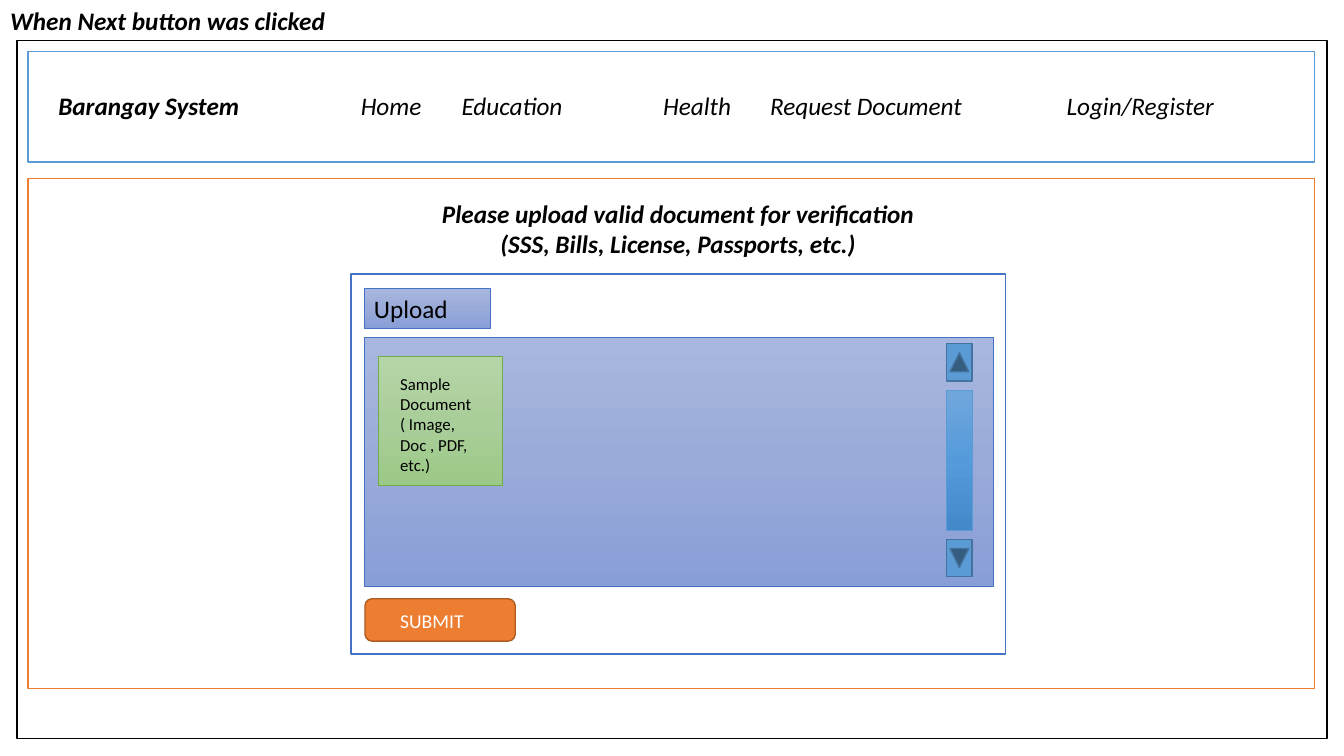
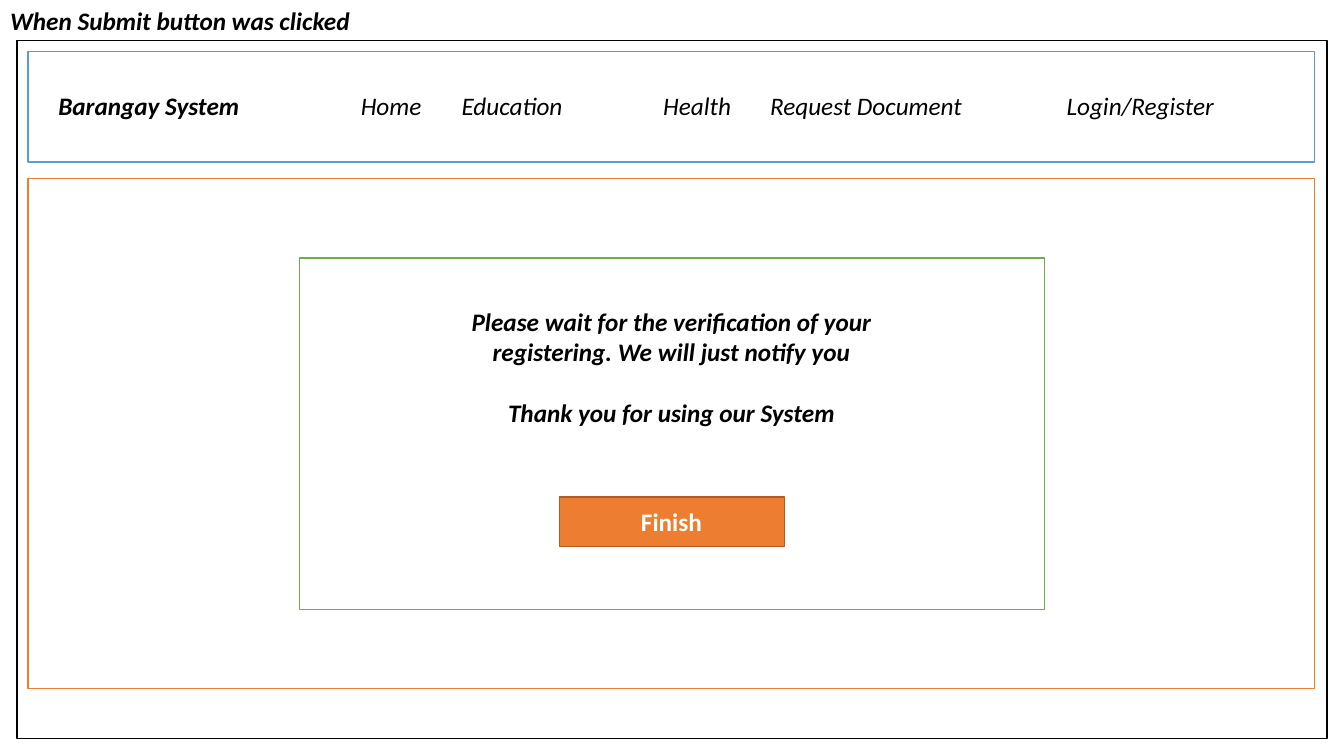
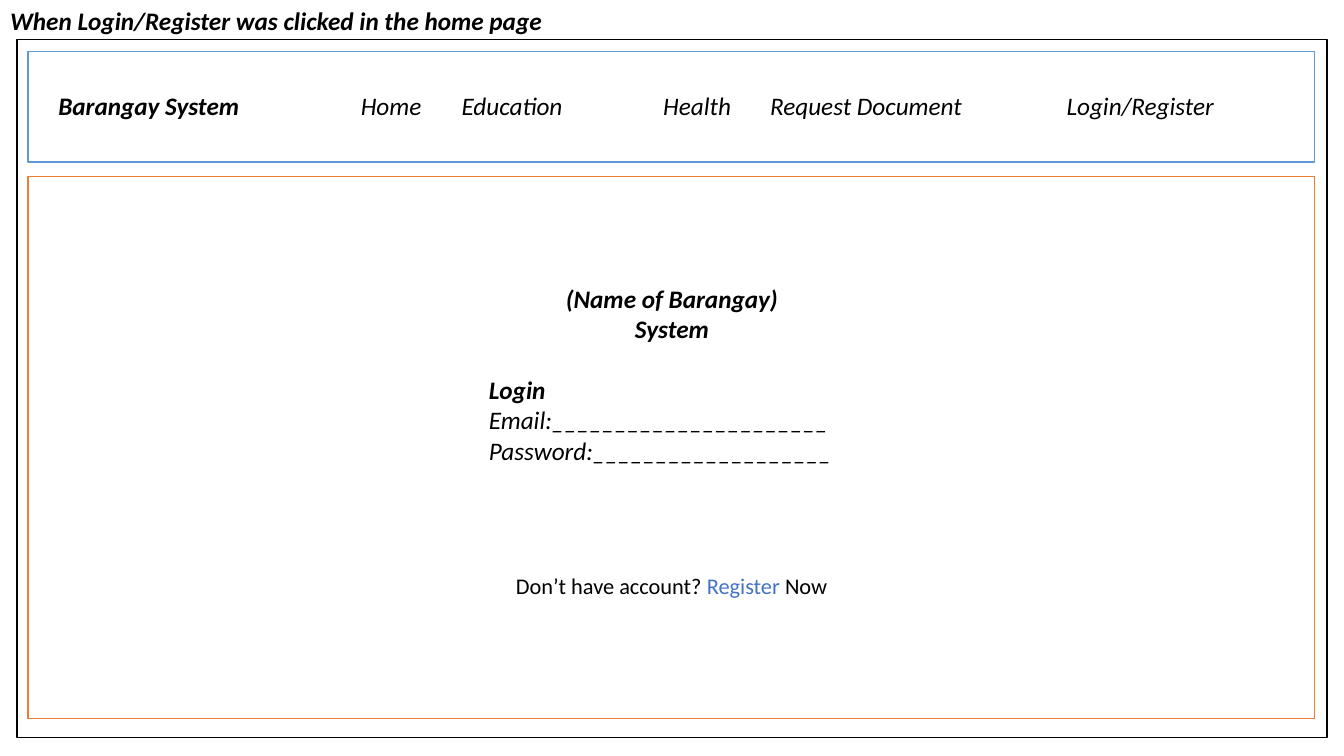
import copy

import pptx
import pptx.dml.color
import pptx.enum.shapes
import pptx.enum.text
import pptx.oxml
import pptx.oxml.ns
import pptx.util

PX = 9144  # 100 px to the inch
TITLE_ONLY = 5
FONT = "Calibri"
COLORS = {
    "black": "000000", "white": "FFFFFF",
    "sky": "5B9BD5", "sky edge": "43739E",
    "blue": "4472C4", "green": "70AD47",
    "orange": "ED7D31", "orange edge": "AF5C24",
}
GRADIENTS = {
    "blue": ("A8B7DF", "9AABD9", "889ED7"),
    "green": ("B5D5A7", "AACE9A", "9CC987"),
    "sky": ("71A6DB", "559BDB", "448ACA"),
}
MENU = (("Home", 300), ("Education", 400), ("Health", 600),
        ("Request Document", 706), ("Login/Register", 1000))
SHAPE = pptx.enum.shapes.MSO_SHAPE
ALIGN = pptx.enum.text.PP_ALIGN
TOP = pptx.enum.text.MSO_ANCHOR.TOP
NO_FIT = pptx.enum.text.MSO_AUTO_SIZE.NONE


def px(*lengths):
    return [pptx.util.Emu(length * PX) for length in lengths]


def rgb(hex_string):
    return pptx.dml.color.RGBColor.from_string(hex_string)


def write(frame, text, size=18, bold=False, italic=False, color="black",
          align=ALIGN.LEFT, before=0, joined=False):
    """Add text as a new paragraph, or to the last one when joined."""
    para = frame.paragraphs[-1]
    if not joined:
        if para.runs:
            para = frame.add_paragraph()
        para.alignment = align
        if before:
            para.space_before = pptx.util.Pt(before)
    for number, line in enumerate(text.split("\n")):
        if number:
            para.add_line_break()
        span = para.add_run()
        span.text = line
        span.font.name = FONT
        span.font.size = pptx.util.Pt(size)
        span.font.bold = bold
        span.font.italic = italic
        span.font.color.rgb = rgb(COLORS[color])
    return para


class Wireframe:
    """Holds the deck, its style and the current slide."""

    def __init__(self):
        self.deck = pptx.Presentation()
        self.deck.slide_width, self.deck.slide_height = px(1333, 750)
        self.slide = None

    def page(self, title, title_width, frame_top=40, body_top=177, body_height=506):
        """Start a slide with its title, window, menu bar and body panel."""
        layout = self.deck.slide_layouts[TITLE_ONLY]
        self.slide = self.deck.slides.add_slide(layout)
        heading = self.slide.shapes.title
        heading.left, heading.top, heading.width, heading.height = px(0, 0, title_width, 40)
        frame = heading.text_frame
        frame.auto_size = NO_FIT
        frame.word_wrap = False
        frame.vertical_anchor = TOP
        write(frame, title, bold=True, italic=True)

        self.box(17, frame_top, 1299, 693, line="black")
        self.box(28, 51, 1276, 110, line="sky")
        self.menu()
        self.box(28, body_top, 1276, body_height, line="orange")

    def menu(self):
        frame = self.text(48, 85, 1237, 40)
        para = write(frame, "Barangay System", bold=True, italic=True)
        tabs = pptx.oxml.parse_xml(
            "<a:tabLst %s/>" % pptx.oxml.ns.nsdecls("a"))
        for label, stop in MENU:
            tab = tabs.makeelement(pptx.oxml.ns.qn("a:tab"),
                                   {"pos": str(stop * PX), "algn": "l"})
            tabs.append(tab)
            write(frame, "\t" + label, italic=True, joined=True)
        para._p.get_or_add_pPr().append(tabs)

    def box(self, left, top, width, height, kind=SHAPE.RECTANGLE,
            fill="white", line="black", weight=1, gradient=None, rotation=0):
        box = self.slide.shapes.add_shape(kind, *px(left, top, width, height))
        box.shadow.inherit = False
        box.rotation = rotation
        box.line.color.rgb = rgb(COLORS[line])
        box.line.width = pptx.util.Pt(weight)
        if gradient:
            self.shade(box, GRADIENTS[gradient])
        else:
            box.fill.solid()
            box.fill.fore_color.rgb = rgb(COLORS[fill])
        return box

    def shade(self, box, colors):
        """Fill a box from top to bottom with three even stops."""
        box.fill.gradient()
        box.fill.gradient_angle = 270
        stop_list = box._element.spPr.find(".//" + pptx.oxml.ns.qn("a:gsLst"))
        stop_list.insert(1, copy.deepcopy(stop_list[0]))
        for number, stop in enumerate(box.fill.gradient_stops):
            stop.position = number / 2
            stop.color.rgb = rgb(colors[number])

    def shaded_box(self, left, top, width, height, gradient):
        return self.box(left, top, width, height, line=gradient,
                        weight=0.5, gradient=gradient)

    def button(self, left, top, width, height, kind=SHAPE.RECTANGLE):
        return self.box(left, top, width, height, kind,
                        fill="orange", line="orange edge")

    def text(self, left, top, width, height, wrap=True):
        box = self.slide.shapes.add_textbox(*px(left, top, width, height))
        box.text_frame.word_wrap = wrap
        return box.text_frame


def upload_page(wire):
    wire.page("When Next button was clicked", 337)
    wire.box(348, 272, 649, 377, line="blue")

    # Upload button and file area
    upload = wire.shaded_box(361, 286, 125, 40, "blue").text_frame
    upload.vertical_anchor = TOP
    write(upload, "Upload")
    wire.shaded_box(361, 335, 624, 247, "blue")
    wire.shaded_box(375, 354, 123, 128, "green")
    write(wire.text(387, 366, 99, 111),
          "Sample Document ( Image, Doc , PDF, etc.)", size=12)

    # Scroll bar
    for top, rotation in ((347, 90), (541, 270)):
        wire.box(933, top, 37, 25, SHAPE.ACTION_BUTTON_BACK_OR_PREVIOUS,
                 fill="sky", line="sky edge", rotation=rotation)
    wire.shaded_box(939, 387, 25, 139, "sky")

    # Submit button and instruction
    wire.button(362, 594, 149, 42, SHAPE.ROUNDED_RECTANGLE)
    write(wire.text(387, 599, 123, 34), "SUBMIT", size=14, color="white")
    write(wire.text(402, 192, 541, 71),
          "Please upload valid document for verification\n"
          "(SSS, Bills, License, Passports, etc.)",
          bold=True, italic=True, align=ALIGN.CENTER)


def finish_page(wire):
    wire.page("When Submit button was clicked", 362)
    wire.box(297, 256, 739, 349, line="green")
    message = wire.text(431, 299, 470, 131)
    strong = dict(bold=True, italic=True, align=ALIGN.CENTER)
    write(message, "Please wait for the verification of your registering. "
          "We will just notify you", **strong)
    write(message, "Thank you for using our System", before=22, **strong)

    # Finish button
    wire.button(555, 493, 223, 49)
    write(wire.text(624, 497, 84, 40, wrap=False), "Finish",
          bold=True, color="white", align=ALIGN.CENTER)


def login_page(wire):
    wire.page("When Login/Register was clicked in the home page", 554,
              frame_top=39, body_top=175, body_height=538)

    # Login form
    form = wire.text(475, 276, 383, 222)
    write(form, "(Name of Barangay)\nSystem", bold=True, italic=True,
          align=ALIGN.CENTER)
    write(form, "Login", bold=True, italic=True, before=22)
    for label, blanks in (("Email:", 22), ("Password:", 19)):
        write(form, label + "_" * blanks, italic=True)

    # Register prompt
    prompt = wire.text(470, 563, 392, 37)
    write(prompt, "Don’t have account? ", size=16, align=ALIGN.CENTER)
    write(prompt, "Register", size=16, color="blue", joined=True)
    write(prompt, " Now", size=16, joined=True)


def main():
    wire = Wireframe()
    for build in (upload_page, finish_page, login_page):
        build(wire)
    wire.deck.save("out.pptx")


if __name__ == "__main__":
    main()
